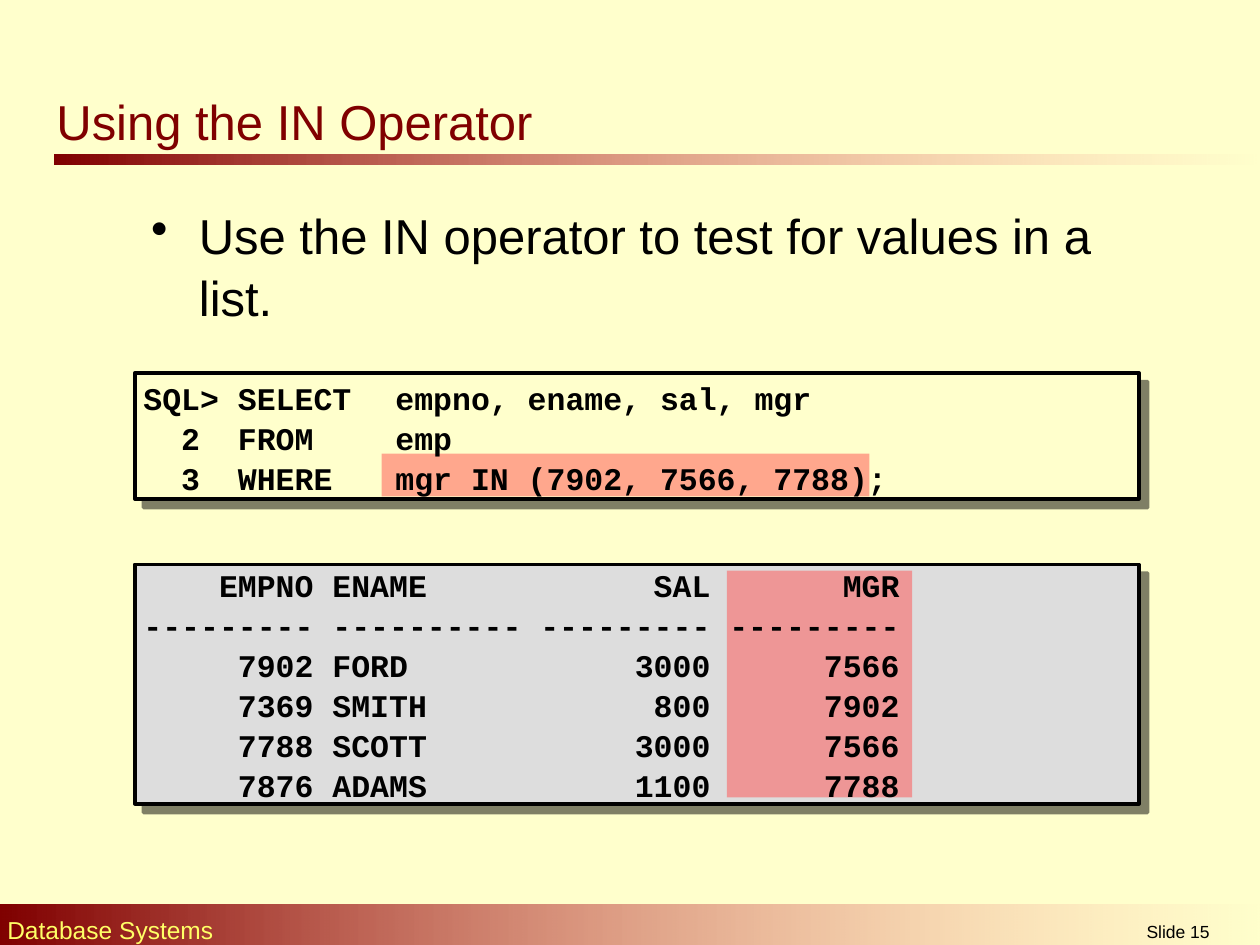
from lxml import etree
from pptx import Presentation
from pptx.dml.color import RGBColor
from pptx.enum.shapes import MSO_SHAPE
from pptx.enum.text import MSO_ANCHOR, PP_ALIGN
from pptx.oxml.ns import qn
from pptx.util import Inches, Pt

RECTANGLE = MSO_SHAPE.RECTANGLE
TOP, MIDDLE = MSO_ANCHOR.TOP, MSO_ANCHOR.MIDDLE
LEFT, CENTER = PP_ALIGN.LEFT, PP_ALIGN.CENTER
COLORS = {
    "cream": "FFFFCC", "maroon": "800000", "rose": "FF8585", "black": "000000",
    "yellow": "FFFF66", "gray": "DDDDDD", "red": "FF5050",
}


def add_rectangle(place, color):
    shape = page.shapes.add_shape(RECTANGLE, *map(Inches, place))
    shape.shadow.inherit = False
    shape.fill.solid()
    shape.fill.fore_color.rgb = RGBColor.from_string(COLORS[color])
    shape.line.fill.background()
    return shape


def add_text(place, lines, size, color, font="Arial", bold=False,
             anchor=TOP, align=LEFT, spacing=1.0):
    box = page.shapes.add_textbox(*map(Inches, place))
    frame = box.text_frame
    frame.word_wrap = True
    frame.vertical_anchor = anchor
    for index, line in enumerate(lines):
        para = frame.paragraphs[0] if index == 0 else frame.add_paragraph()
        para.text = line
        para.alignment = align
        para.line_spacing = spacing
        if "\t" in line:
            tabs = etree.SubElement(para._p.get_or_add_pPr(), qn("a:tabLst"))
            for stop in (1.31, 2):
                etree.SubElement(tabs, qn("a:tab"), pos=str(Inches(stop)), algn="l")
        para.font.name = font
        para.font.size = Pt(size)
        para.font.bold = bold
        para.font.color.rgb = RGBColor.from_string(COLORS[color])
    return frame


deck = Presentation()
deck.slide_width, deck.slide_height = Inches(10), Inches(7.5)
page = deck.slides.add_slide(deck.slide_layouts[6])
page.background.fill.solid()
page.background.fill.fore_color.rgb = RGBColor.from_string(COLORS["cream"])

for place in ((0.43, 1.23, 9.57, 0.08), (0, 7.18, 10.03, 0.35)):
    bar = add_rectangle(place, "maroon")
    bar.fill.gradient()
    bar.fill.gradient_angle = 0
    for stop, color, position in zip(bar.fill.gradient_stops, ("maroon", "rose"), (0, 1)):
        stop.color.rgb = RGBColor.from_string(COLORS[color])
        stop.position = position
    last_color = bar._element.spPr.findall(".//" + qn("a:srgbClr"))[-1]
    etree.SubElement(last_color, qn("a:alpha"), val="0")

add_text((-0.04, 7.21, 6.46, 0.34), ["Database Systems"], 14, "yellow")
add_text((8.31, 7.26, 2.08, 0.24), ["Slide 15"], 10, "black", align=CENTER)

for top, height, color in ((2.96, 1, "cream"), (4.48, 1.9, "gray")):
    panel = add_rectangle((1.07, top, 7.97, height), color)
    panel.line.color.rgb = RGBColor.from_string(COLORS["black"])
    panel.line.width = Pt(2)
    effects = panel._element.spPr.find(qn("a:effectLst"))
    shadow = etree.SubElement(effects, qn("a:outerShdw"), dist=str(Pt(7.1)),
                              dir="2700000", algn="ctr", rotWithShape="0")
    shade = etree.SubElement(shadow, qn("a:srgbClr"), val=COLORS["black"])
    etree.SubElement(shade, qn("a:alpha"), val="50000")

add_text((0.35, 0.68, 4.13, 0.55), ["Using the IN Operator"], 28, "maroon")

body = add_text((1.1, 1.56, 8.08, 1.04),
                ["Use the IN operator to test for values in a list."],
                28, "black", spacing=1.05)
properties = body.paragraphs[0]._p.get_or_add_pPr()
properties.set("marL", str(Inches(0.38)))
properties.set("indent", str(Inches(-0.38)))
bullet = etree.Element(qn("a:buChar"), char="•")
properties.find(qn("a:defRPr")).addprevious(bullet)

for place in ((3.03, 3.6, 3.87, 0.34), (5.77, 4.53, 1.47, 1.8)):
    highlight = add_rectangle(place, "red")
    fill_color = highlight._element.spPr.find(".//" + qn("a:srgbClr"))
    etree.SubElement(fill_color, qn("a:alpha"), val="50000")

query = [
    "SQL> SELECT\tempno, ename, sal, mgr",
    "  2  FROM \temp",
    "  3  WHERE\tmgr IN (7902, 7566, 7788);",
]
result = [
    "    EMPNO ENAME            SAL       MGR",
    "--------- ---------- --------- ---------",
    "     7902 FORD            3000      7566",
    "     7369 SMITH            800      7902",
    "     7788 SCOTT           3000      7566",
    "     7876 ADAMS           1100      7788",
]
for top, height, lines in ((2.95, 1.03, query), (4.46, 1.93, result)):
    add_text((1.04, top, 8, height), lines, 18, "black", font="Courier New",
             bold=True, anchor=MIDDLE, spacing=1.06)

deck.save("out.pptx")
